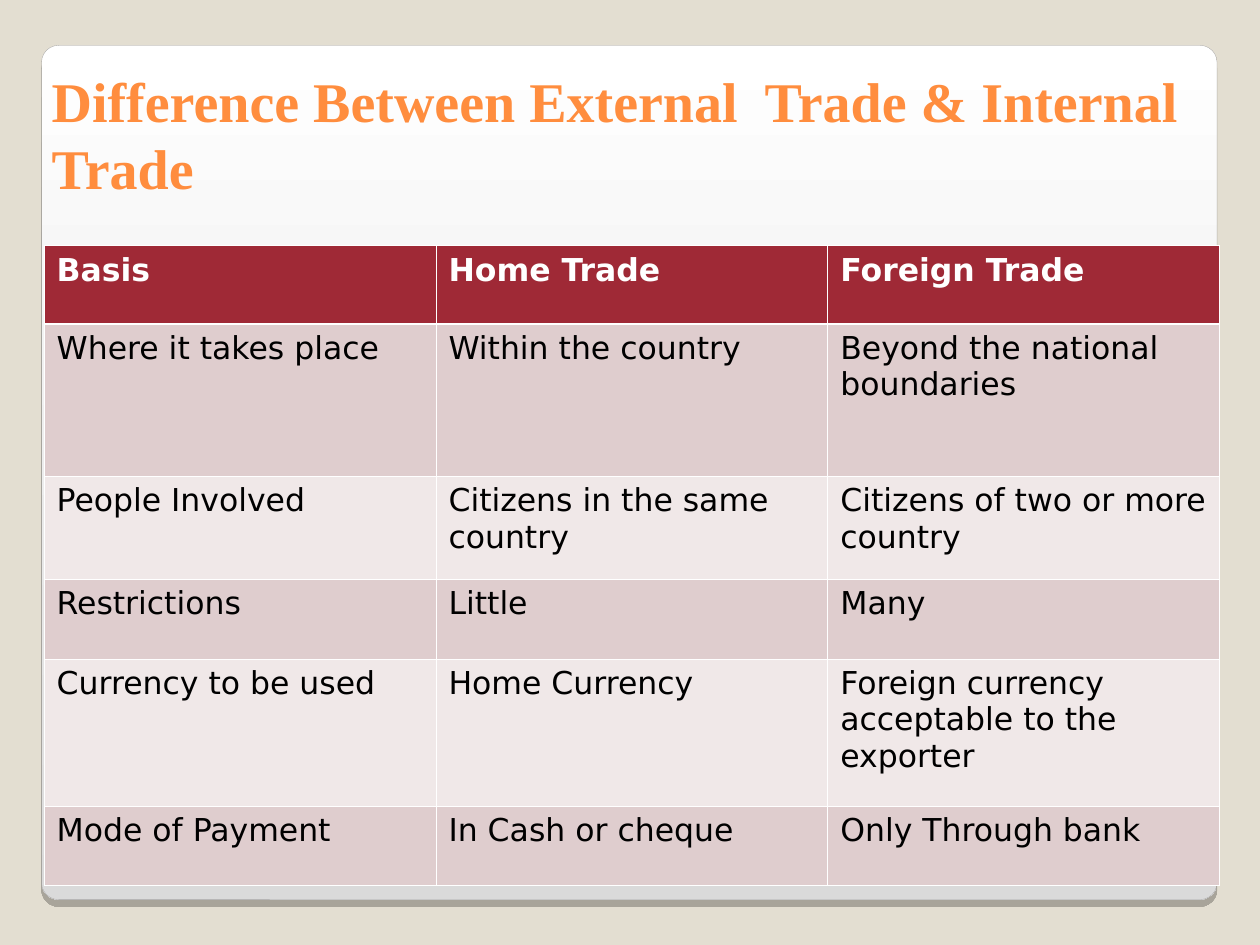
import pptx
import pptx.dml.color
import pptx.enum.shapes
import pptx.enum.text
import pptx.oxml
import pptx.oxml.ns
import pptx.util

RGBColor = pptx.dml.color.RGBColor
BACKGROUND = RGBColor(0xE3, 0xDE, 0xD1)
WHITE = RGBColor(0xFF, 0xFF, 0xFF)
BLACK = RGBColor(0x00, 0x00, 0x00)
PANEL_BOTTOM = RGBColor(0xDA, 0xDA, 0xDA)
PANEL_LINE = RGBColor(0xA4, 0xA3, 0xA3)
ORANGE = RGBColor(0xFF, 0x8D, 0x3E)
CRIMSON = RGBColor(0x9F, 0x29, 0x36)
ROSE = RGBColor(0xDF, 0xCD, 0xCE)
PALE_ROSE = RGBColor(0xF0, 0xE8, 0xE8)

SLIDE_WIDTH = pptx.util.Inches(10)
SLIDE_HEIGHT = pptx.util.Inches(7.5)
THIN, THICK = pptx.util.Pt(0.45), pptx.util.Pt(1.47)

PANEL_BOX = [pptx.util.Inches(n) for n in (0.33, 0.36, 9.33, 6.78)]
TITLE_BOX = [pptx.util.Inches(n) for n in (0.31, 0.47, 10, 1.18)]
TABLE_BOX = [pptx.util.Inches(n) for n in (0.35, 1.95, 9.33, 5.08)]

TITLE = "Difference Between External  Trade & Internal Trade"
ROW_WEIGHTS = [0.62, 1.21, 0.82, 0.63, 1.17, 0.63]
ROWS = [
    ["Basis", "Home Trade", "Foreign Trade"],
    ["Where it takes place", "Within the country", "Beyond the national boundaries"],
    ["People Involved", "Citizens in the same country", "Citizens of two or more country"],
    ["Restrictions", "Little", "Many"],
    ["Currency to be used", "Home Currency", "Foreign currency acceptable to the exporter"],
    ["Mode of Payment", "In Cash or cheque", "Only Through bank"],
]


def add_run(paragraph, text, font_name, size, color, bold):
    """Append one formatted run to a paragraph."""
    run = paragraph.add_run()
    run.text = text
    run.font.name = font_name
    run.font.size = pptx.util.Pt(size)
    run.font.color.rgb = color
    run.font.bold = bold


def add_panel(slide, box):
    """Draw the rounded gradient panel with its lower shadow."""
    panel = slide.shapes.add_shape(
        pptx.enum.shapes.MSO_SHAPE.ROUNDED_RECTANGLE, *box)
    panel.adjustments[0] = 0.02
    panel.fill.gradient()
    panel.fill.gradient_angle = 270
    for stop, position, color in zip(
            panel.fill.gradient_stops, (0, 1), (WHITE, PANEL_BOTTOM)):
        stop.position = position
        stop.color.rgb = color
    panel.line.color.rgb = PANEL_LINE
    panel.line.width = pptx.util.Pt(0.17)
    panel.shadow.inherit = False
    effects = panel._element.spPr.find(pptx.oxml.ns.qn("a:effectLst"))
    effects.append(pptx.oxml.parse_xml(
        f'<a:outerShdw {pptx.oxml.ns.nsdecls("a")} blurRad="0" '
        f'dist="{pptx.util.Pt(4)}" dir="5400000" algn="t" rotWithShape="0">'
        f'<a:srgbClr val="{BLACK}"><a:alpha val="25000"/></a:srgbClr>'
        '</a:outerShdw>'))


def place_title(slide, box):
    """Move the title placeholder into its box and fill it."""
    title = slide.shapes.title
    title.left, title.top, title.width, title.height = box
    frame = title.text_frame
    frame.word_wrap = True
    frame.auto_size = pptx.enum.text.MSO_AUTO_SIZE.NONE
    frame.vertical_anchor = pptx.enum.text.MSO_ANCHOR.MIDDLE
    paragraph = frame.paragraphs[0]
    paragraph.alignment = pptx.enum.text.PP_ALIGN.LEFT
    add_run(paragraph, TITLE, "Times New Roman", 32, ORANGE, True)


def set_borders(cell, top, bottom):
    """Give a cell white borders, with its own top and bottom widths."""
    widths = {"lnL": THIN, "lnR": THIN, "lnT": top, "lnB": bottom}
    properties = cell._tc.get_or_add_tcPr()
    for index, (side, width) in enumerate(widths.items()):
        properties.insert(index, pptx.oxml.parse_xml(
            f'<a:{side} {pptx.oxml.ns.nsdecls("a")} w="{width}">'
            f'<a:solidFill><a:srgbClr val="{WHITE}"/></a:solidFill></a:{side}>'))


def add_comparison_table(slide, box):
    """Draw the trade table with a header row and banded body rows."""
    left, top, width, height = box
    columns = len(ROWS[0])
    table = slide.shapes.add_table(len(ROWS), columns, *box).table
    table.horz_banding = False
    for column in table.columns:
        column.width = width // columns
    for index, (row, texts) in enumerate(zip(table.rows, ROWS)):
        row.height = int(height * ROW_WEIGHTS[index] / sum(ROW_WEIGHTS))
        header = index == 0
        fill = CRIMSON if header else (ROSE if index % 2 else PALE_ROSE)
        for cell, text in zip(row.cells, texts):
            cell.fill.solid()
            cell.fill.fore_color.rgb = fill
            set_borders(cell, THICK if index == 1 else THIN,
                        THICK if header else THIN)
            add_run(cell.text_frame.paragraphs[0], text, "DejaVu Sans", 18,
                    WHITE if header else BLACK, header)


def main():
    """Build the slide and save it."""
    presentation = pptx.Presentation()
    presentation.slide_width = SLIDE_WIDTH
    presentation.slide_height = SLIDE_HEIGHT
    slide = presentation.slides.add_slide(presentation.slide_layouts[5])
    slide.background.fill.solid()
    slide.background.fill.fore_color.rgb = BACKGROUND
    add_panel(slide, PANEL_BOX)
    title_element = slide.shapes.title._element
    title_element.getparent().append(title_element)
    place_title(slide, TITLE_BOX)
    add_comparison_table(slide, TABLE_BOX)
    presentation.save("out.pptx")


if __name__ == "__main__":
    main()
